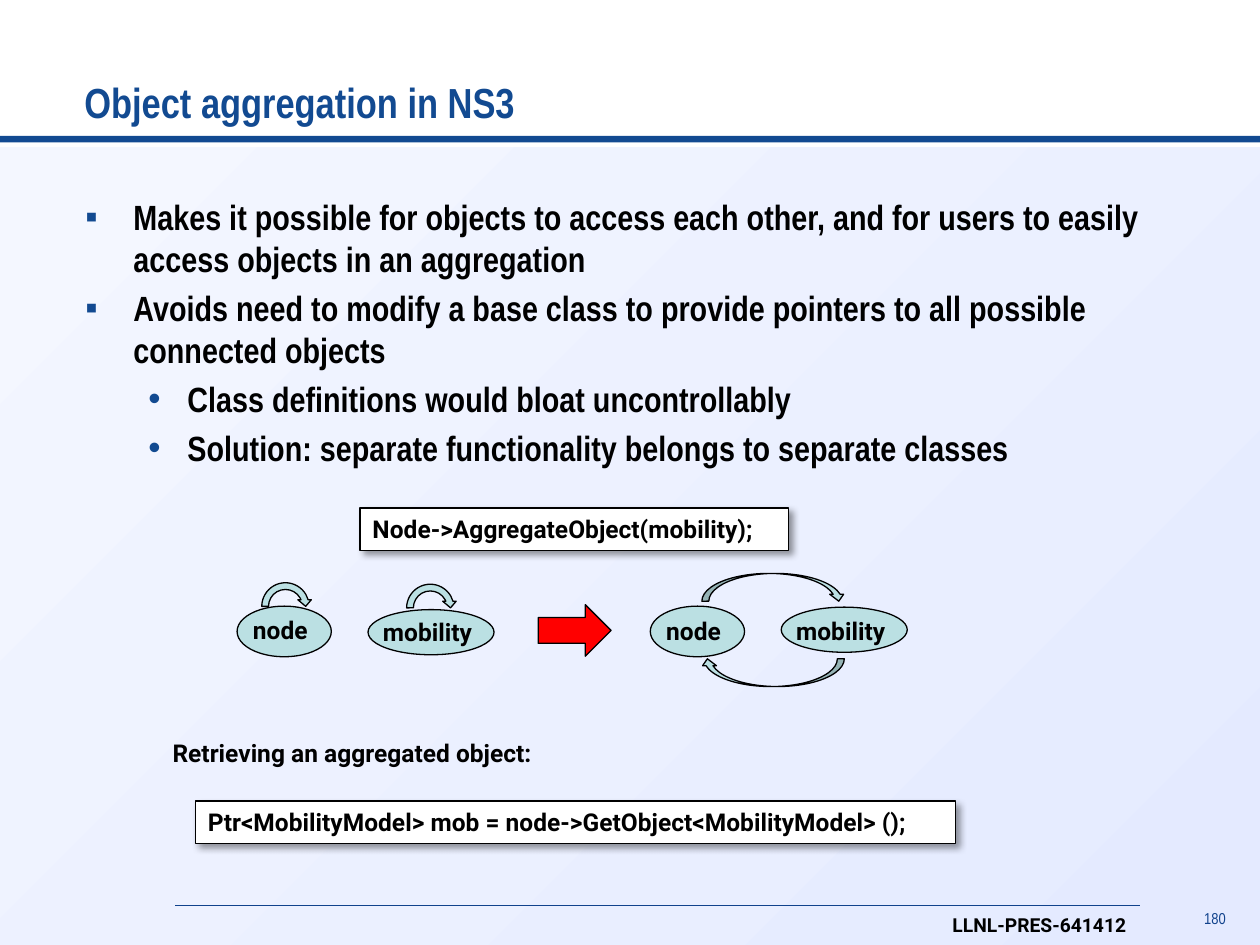
from lxml import etree
from pptx import Presentation
from pptx import util as u
from pptx.dml.color import RGBColor
from pptx.enum import shapes, text
from pptx.oxml import parse_xml
from pptx.oxml.ns import nsdecls, qn

COLORS = {
    "title": "124A91", "footer": "10428C", "text": "000000", "node": "BBE0E3",
    "arrow": "FF0000", "code": "FFFFFF", "light": "F4F7FF", "shade": "E4EAFF",
}
KIND = shapes.MSO_SHAPE

presentation = Presentation()
presentation.slide_width, presentation.slide_height = u.Cm(25.4), u.Cm(19.05)
slide = presentation.slides.add_slide(presentation.slide_layouts[6])


def add_shape(kind, box, fill, outlined=True):
    shape = slide.shapes.add_shape(kind, *map(u.Cm, box))
    shape.shadow.inherit = False
    shape.fill.solid()
    shape.fill.fore_color.rgb = RGBColor.from_string(COLORS[fill])
    if outlined:
        shape.line.color.rgb = RGBColor.from_string(COLORS["text"])
        shape.line.width = u.Pt(0.75)
    else:
        shape.line.fill.background()
    return shape


def write(paragraph, words, size=14, font="Roboto", color="text", bold=True):
    """Add one formatted, left-aligned run to the paragraph."""
    paragraph.alignment = text.PP_ALIGN.LEFT
    run = paragraph.add_run()
    run.text = words
    run.font.size = u.Pt(size)
    run.font.name = font
    run.font.bold = bold
    run.font.color.rgb = RGBColor.from_string(COLORS[color])


# Background and rules
background = add_shape(KIND.RECTANGLE, (0, 2.97, 25.4, 16.08), "light", outlined=False)
background.fill.gradient()
background.fill.gradient_angle = 315
for stop, name, position in zip(background.fill.gradient_stops, ("light", "shade"), (0, 1)):
    stop.color.rgb = RGBColor.from_string(COLORS[name])
    stop.position = position
add_shape(KIND.RECTANGLE, (0, 2.74, 25.4, 0.13), "title", outlined=False)

footer_line = slide.shapes.add_connector(
    shapes.MSO_CONNECTOR.STRAIGHT, u.Cm(3.53), u.Cm(18.26), u.Cm(22.99), u.Cm(18.26))
footer_line.line.color.rgb = RGBColor.from_string(COLORS["footer"])
footer_line.line.width = u.Pt(0.5)
etree.SubElement(footer_line._element.spPr, qn("a:effectLst"))

# Title and slide number
title = slide.shapes.add_textbox(u.Cm(1.7), u.Cm(0.43), u.Cm(22.07), u.Cm(2.26)).text_frame
title.word_wrap = True
title.margin_left = 0
title.vertical_anchor = text.MSO_ANCHOR.BOTTOM
write(title.paragraphs[0], "Object aggregation in NS3", 24, "Arial Narrow", "title")

number = slide.shapes.add_textbox(u.Cm(24.1), u.Cm(18.29), u.Cm(0.86), u.Cm(0.56)).text_frame
number.word_wrap = True
number.margin_left = 0
write(number.paragraphs[0], "180", 9, "Arial Narrow", "footer", bold=False)
number.paragraphs[0].alignment = text.PP_ALIGN.RIGHT
number.paragraphs[0].line_spacing = 0.75

# Bullets
body = slide.shapes.add_textbox(u.Cm(1.47), u.Cm(3.81), u.Cm(22.43), u.Cm(13.13)).text_frame
body.word_wrap = True
bullets = [
    (0, "Makes it possible for objects to access each other, "
        "and for users to easily access objects in an aggregation"),
    (0, "Avoids need to modify a base class to provide pointers "
        "to all possible connected objects"),
    (1, "Class definitions would bloat uncontrollably"),
    (1, "Solution: separate functionality belongs to separate classes"),
]
bullet_styles = [("▪", 0.97, 0.97), ("•", 2.06, 0.79)]
for index, (level, words) in enumerate(bullets):
    paragraph = body.add_paragraph() if index else body.paragraphs[0]
    mark, margin, hanging = bullet_styles[level]
    paragraph.level = level
    if index:
        paragraph.space_before = u.Pt(4)
    properties = paragraph._p.get_or_add_pPr()
    properties.set("marL", str(u.Cm(margin)))
    properties.set("indent", str(-u.Cm(hanging)))
    bullet_color = etree.SubElement(properties, qn("a:buClr"))
    etree.SubElement(bullet_color, qn("a:srgbClr"), val=COLORS["title"])
    etree.SubElement(properties, qn("a:buFont"), typeface="Arial")
    etree.SubElement(properties, qn("a:buChar"), char=mark)
    write(paragraph, words, 20, "Arial Narrow")

# Objects before and after aggregation
for box in [(4.78, 12.22, 1.9, 1.02), (7.42, 12.29, 2.54, 0.91),
            (13.11, 12.22, 1.9, 1.02), (15.75, 12.24, 2.54, 0.91)]:
    add_shape(KIND.OVAL, box, "node")
for left, top in [(5.21, 11.68), (8.13, 11.71)]:
    add_shape(KIND.CIRCULAR_ARROW, (left, top, 1.09, 1.09), "node")
for left, top, turn in [(14.15, 11.56, 0), (14.12, 13.28, 180)]:
    add_shape(KIND.CURVED_DOWN_ARROW, (left, top, 2.9, 0.56), "node").rotation = turn
add_shape(KIND.RIGHT_ARROW, (10.85, 12.19, 1.47, 1.04), "arrow")

labels = [
    ("node", 4.85, 12.27, 1.75, 14), ("mobility", 7.47, 12.32, 2.46, 14),
    ("node", 13.18, 12.29, 1.75, 14), ("mobility", 15.8, 12.29, 2.46, 14),
    ("Retrieving an aggregated object:", 3.23, 14.76, 8.28, 14),
    ("LLNL-PRES-641412", 18.95, 18.29, 4.14, 11),
]
for words, left, top, width, size in labels:
    label = slide.shapes.add_textbox(u.Cm(left), u.Cm(top), u.Cm(width), u.Cm(0.86)).text_frame
    label.word_wrap = False
    write(label.paragraphs[0], words, size)

# Code boxes
code_lines = [
    ("Node->AggregateObject(mobility);", 7.26, 10.24, 8.64),
    ("Ptr<MobilityModel> mob = node->GetObject<MobilityModel> ();", 3.94, 16.15, 15.32),
]
for words, left, top, width in code_lines:
    code_box = add_shape(KIND.RECTANGLE, (left, top, width, 0.86), "code")
    code_box._element.spPr.find(qn("a:effectLst")).append(parse_xml(
        f'<a:outerShdw {nsdecls("a")} blurRad="{u.Pt(4)}" dist="{u.Pt(3)}" dir="2700000" '
        f'algn="tl" rotWithShape="0"><a:srgbClr val="{COLORS["text"]}">'
        '<a:alpha val="40000"/></a:srgbClr></a:outerShdw>'))
    code_box.text_frame.word_wrap = True
    code_box.text_frame.vertical_anchor = text.MSO_ANCHOR.TOP
    write(code_box.text_frame.paragraphs[0], words)

presentation.save("out.pptx")
